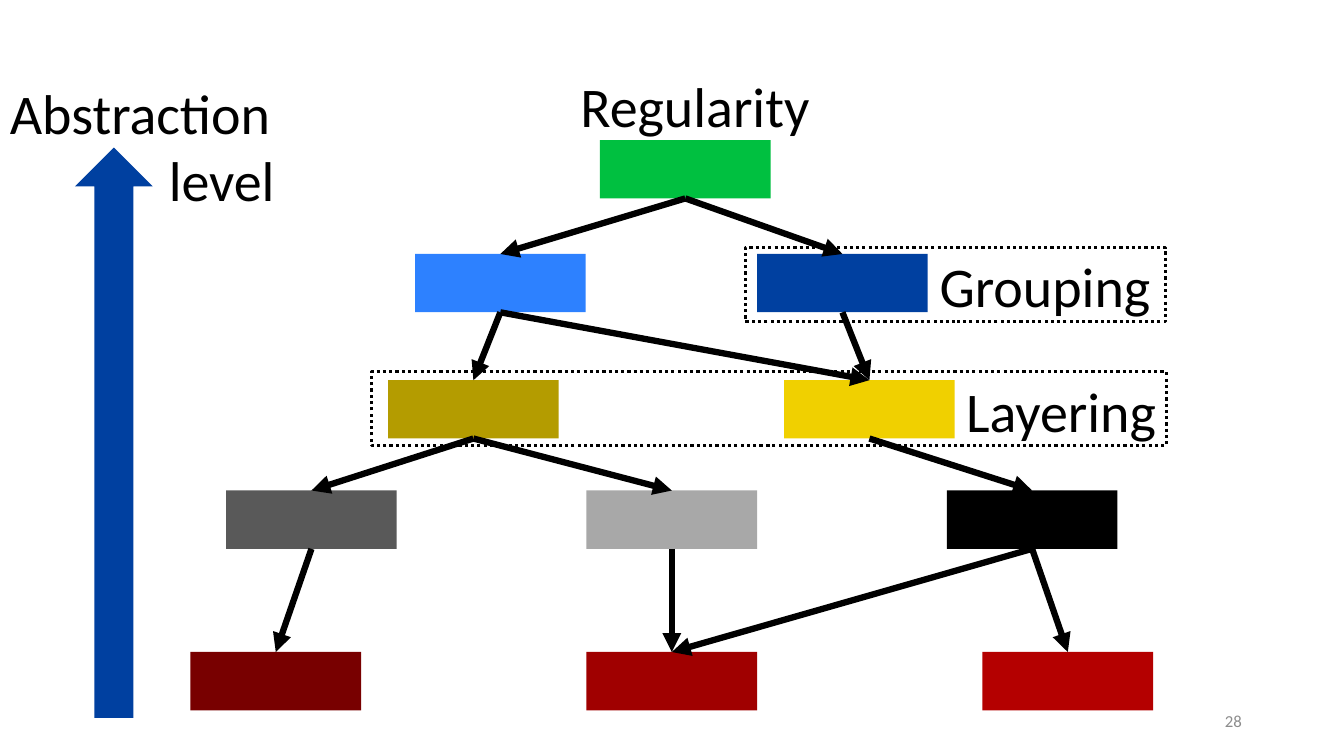
from dataclasses import dataclass

from lxml.etree import SubElement
from pptx import Presentation
from pptx.dml.color import RGBColor
from pptx.enum.dml import MSO_LINE_DASH_STYLE as Dash
from pptx.enum.shapes import MSO_CONNECTOR as Connector, MSO_SHAPE as Shape
from pptx.enum.text import MSO_ANCHOR as Anchor, PP_ALIGN as Align
from pptx.oxml.ns import qn
from pptx.util import Cm, Pt


@dataclass(frozen=True)
class Theme:
    """Colours, font and type sizes of the slide."""
    font: str = "Calibri"
    label_size: int = 40
    number_size: int = 12
    arrow_width: float = 4.5
    frame_width: float = 2.25
    ink: str = "000000"
    muted: str = "8C8C8C"
    green: str = "00C040"
    light_blue: str = "2D81FF"
    blue: str = "0040A0"
    olive: str = "B49C00"
    yellow: str = "F0D000"
    dark_grey: str = "595959"
    grey: str = "A8A8A8"
    dark_red: str = "780000"
    red: str = "A00000"
    bright_red: str = "B40000"


THEME = Theme()
NODE_WIDTH, NODE_HEIGHT = 4.3, 1.47
BOTTOM_SITE, TOP_SITE = 2, 0

LEVELS = [
    (3.53, [("regularity", 17.27, THEME.green)]),
    (6.4, [("part", 12.61, THEME.light_blue), ("grouping", 21.23, THEME.blue)]),
    (9.58, [("left layer", 11.93, THEME.olive), ("right layer", 21.91, THEME.yellow)]),
    (12.36, [("left detail", 7.85, THEME.dark_grey), ("middle detail", 16.93, THEME.grey),
             ("right detail", 26.01, THEME.ink)]),
    (16.43, [("left base", 6.95, THEME.dark_red), ("middle base", 16.93, THEME.red),
             ("right base", 26.91, THEME.bright_red)]),
]

LINKS = [
    ("regularity", "part"), ("regularity", "grouping"),
    ("part", "left layer"), ("part", "right layer"), ("grouping", "right layer"),
    ("left layer", "left detail"), ("left layer", "middle detail"),
    ("right layer", "right detail"),
    ("left detail", "left base"), ("middle detail", "middle base"),
    ("right detail", "middle base"), ("right detail", "right base"),
]


def rgb(code):
    """Turn a hex code into a colour."""
    return RGBColor.from_string(code)


def add_block(shapes, kind, left, top, width, height, colour):
    """Add a plain filled shape."""
    block = shapes.add_shape(kind, Cm(left), Cm(top), Cm(width), Cm(height))
    block.shadow.inherit = False
    block.fill.solid()
    block.fill.fore_color.rgb = rgb(colour)
    block.line.fill.background()
    return block


def add_frame(shapes, left, top, width, height):
    """Add an unfilled rectangle with a dotted outline."""
    frame = shapes.add_shape(Shape.RECTANGLE, Cm(left), Cm(top), Cm(width), Cm(height))
    frame.shadow.inherit = False
    frame.fill.background()
    frame.line.color.rgb = rgb(THEME.ink)
    frame.line.width = Pt(THEME.frame_width)
    frame.line.dash_style = Dash.ROUND_DOT


def style(para, size, colour, align=Align.LEFT):
    """Set alignment and font of a paragraph."""
    para.alignment = align
    para.font.name = THEME.font
    para.font.size = Pt(size)
    para.font.color.rgb = rgb(colour)


def add_label(shapes, left, top, width, height, lines):
    """Add a text box with one paragraph per (text, alignment) pair."""
    box = shapes.add_textbox(Cm(left), Cm(top), Cm(width), Cm(height))
    frame = box.text_frame
    frame.word_wrap = True
    frame.text = "\n".join(text for text, _ in lines)
    for para, (_, align) in zip(frame.paragraphs, lines):
        style(para, THEME.label_size, THEME.ink, align)


def add_arrow(shapes, parent, child):
    """Connect the bottom of one node to the top of another."""
    arrow = shapes.add_connector(Connector.STRAIGHT, 0, 0, 0, 0)
    arrow.begin_connect(parent, BOTTOM_SITE)
    arrow.end_connect(child, TOP_SITE)
    arrow.line.color.rgb = rgb(THEME.ink)
    arrow.line.width = Pt(THEME.arrow_width)
    SubElement(arrow.line._get_or_add_ln(), qn("a:tailEnd"), type="triangle")
    SubElement(arrow._element.spPr, qn("a:effectLst"))


def add_page_number(shapes, number):
    """Add the slide number as a field."""
    box = shapes.add_textbox(Cm(23.93), Cm(17.65), Cm(7.62), Cm(1.02))
    box.text_frame.vertical_anchor = Anchor.MIDDLE
    box.text_frame.word_wrap = True
    para = box.text_frame.paragraphs[0]
    field = SubElement(para._p, qn("a:fld"), type="slidenum",
                       id="{B6F15528-21DE-4FAA-801E-634DDDAF4B2B}")
    span = SubElement(field, qn("a:rPr"), lang="en-US", sz=str(THEME.number_size * 100))
    fill = SubElement(span, qn("a:solidFill"))
    SubElement(fill, qn("a:srgbClr"), val=THEME.muted)
    SubElement(span, qn("a:latin"), typeface=THEME.font)
    SubElement(field, qn("a:t")).text = str(number)
    style(para, THEME.number_size, THEME.muted, Align.RIGHT)


def add_hierarchy(shapes):
    """Add the levels of nodes and the arrows between them."""
    nodes = {}
    for top, row in LEVELS:
        for name, centre, colour in row:
            nodes[name] = add_block(shapes, Shape.RECTANGLE, centre - NODE_WIDTH / 2, top,
                                    NODE_WIDTH, NODE_HEIGHT, colour)
    for parent, child in LINKS:
        add_arrow(shapes, nodes[parent], nodes[child])


def add_callout(shapes, text, label_box, frame_box):
    """Group a label with the dotted frame around its nodes."""
    group = shapes.add_group_shape().shapes
    add_label(group, *label_box, [(text, Align.LEFT)])
    add_frame(group, *frame_box)


def add_axis(shapes):
    """Group the upward arrow with its label."""
    group = shapes.add_group_shape().shapes
    add_block(group, Shape.UP_ARROW, 1.89, 3.72, 1.96, 14.37, THEME.blue)
    add_label(group, 0, 1.85, 7.17, 3.69,
              [("Abstraction", Align.LEFT), ("level", Align.RIGHT)])


def main():
    """Build the slide and save it."""
    deck = Presentation()
    deck.slide_width, deck.slide_height = Cm(33.87), Cm(19.05)
    deck.element.set("firstSlideNum", "28")
    page = deck.slides.add_slide(deck.slide_layouts[6])
    shapes = page.shapes
    add_page_number(shapes, 28)
    add_hierarchy(shapes)
    add_callout(shapes, "Layering", (24.1, 9.37, 5.42, 1.96), (9.36, 9.37, 20.03, 1.86))
    add_callout(shapes, "Grouping", (23.43, 6.21, 5.95, 1.96), (18.78, 6.24, 10.6, 1.86))
    add_axis(shapes)
    add_label(shapes, 14.38, 1.67, 6.37, 1.96, [("Regularity", Align.LEFT)])
    deck.save("out.pptx")


if __name__ == "__main__":
    main()
